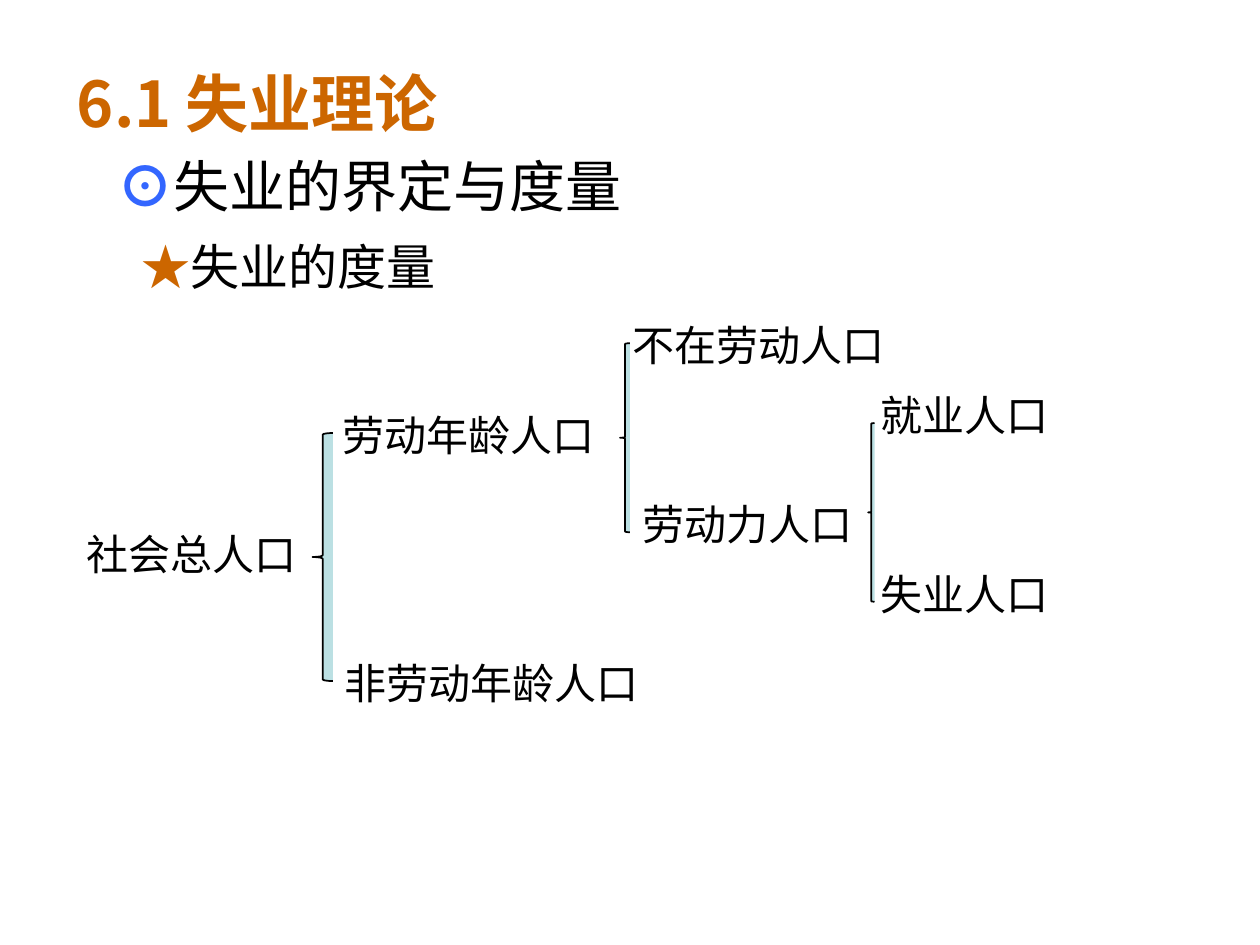
from lxml import etree
from pptx import Presentation, util as u
from pptx.dml.color import RGBColor
from pptx.enum import shapes, text
from pptx.oxml import ns

CJK = "Noto Sans CJK SC"
ORANGE, BLUE, BLACK, TEAL = "CC6600", "3366FF", "000000", "BBE0E3"

# Lengths in centimetres.
TITLE = "6.1 失业理论"
# marker, marker colour, heading, size, indent, space before in points
HEADINGS = [
    ("⊙", BLUE, "失业的界定与度量", 32, 0, 6),
    ("★", ORANGE, "失业的度量", 28, 0.5, 10.5),
]
# group, left, top, width
GROUPS = [
    ("社会总人口", 1.5, 10.52, 4.8),
    ("劳动年龄人口", 6.65, 8.13, 5.64),
    ("非劳动年龄人口", 6.7, 13.13, 6.5),
    ("不在劳动人口", 12.5, 6.32, 5.64),
    ("劳动力人口", 12.7, 9.93, 4.8),
    ("就业人口", 17.5, 7.72, 3.94),
    ("失业人口", 17.5, 11.33, 3.94),
]
GROUP_HEIGHT = 1.3
# left, top, width, height
BRACES = [
    (6.3, 8.73, 0.41, 5.0),
    (12.5, 6.92, 0.2, 3.81),
    (17.5, 8.53, 0.13, 3.6),
]


def rgb(value):
    return RGBColor.from_string(value)


def add_span(para, words, size=24, font=CJK, color=BLACK, bold=False):
    span = para.add_run()
    span.text = words
    span.font.size = u.Pt(size)
    span.font.name = font
    span.font.bold = bold
    span.font.color.rgb = rgb(color)
    east_asian = etree.SubElement(span.font._element, ns.qn("a:ea"))
    east_asian.set("typeface", CJK)


def add_box(slide, *place, wrap=True, anchor=text.MSO_ANCHOR.TOP):
    frame = slide.shapes.add_textbox(*map(u.Cm, place)).text_frame
    frame.word_wrap = wrap
    frame.vertical_anchor = anchor
    return frame


def add_brace(slide, *place):
    brace = slide.shapes.add_shape(shapes.MSO_SHAPE.LEFT_BRACE, *map(u.Cm, place))
    brace.shadow.inherit = False
    brace.adjustments[0] = 0.08
    brace.fill.solid()
    brace.fill.fore_color.rgb = rgb(TEAL)
    brace.line.color.rgb = rgb(BLACK)
    brace.line.width = u.Pt(1)


def main():
    deck = Presentation()
    deck.slide_width, deck.slide_height = u.Cm(25.4), u.Cm(19.05)
    slide = deck.slides.add_slide(deck.slide_layouts[6])

    body = add_box(slide, 2.11, 2.92, 20.55, 8.46)
    for index, (marker, color, heading, size, indent, before) in enumerate(HEADINGS):
        para = body.add_paragraph() if index else body.paragraphs[0]
        para.space_before = u.Pt(before)
        para._p.get_or_add_pPr().set("marL", str(u.Cm(indent)))
        add_span(para, marker, size=size, color=color, bold=True)
        add_span(para, heading, size=size)

    title = add_box(slide, 1.3, 1.12, 20.32, 1.9, anchor=text.MSO_ANCHOR.MIDDLE)
    add_span(title.paragraphs[0], TITLE, size=36, color=ORANGE, bold=True)

    for place in BRACES:
        add_brace(slide, *place)
    for group, left, top, width in GROUPS:
        label = add_box(slide, left, top, width, GROUP_HEIGHT, wrap=False)
        label.auto_size = text.MSO_AUTO_SIZE.SHAPE_TO_FIT_TEXT
        add_span(label.paragraphs[0], group, font="Arial")

    deck.save("out.pptx")


if __name__ == "__main__":
    main()
